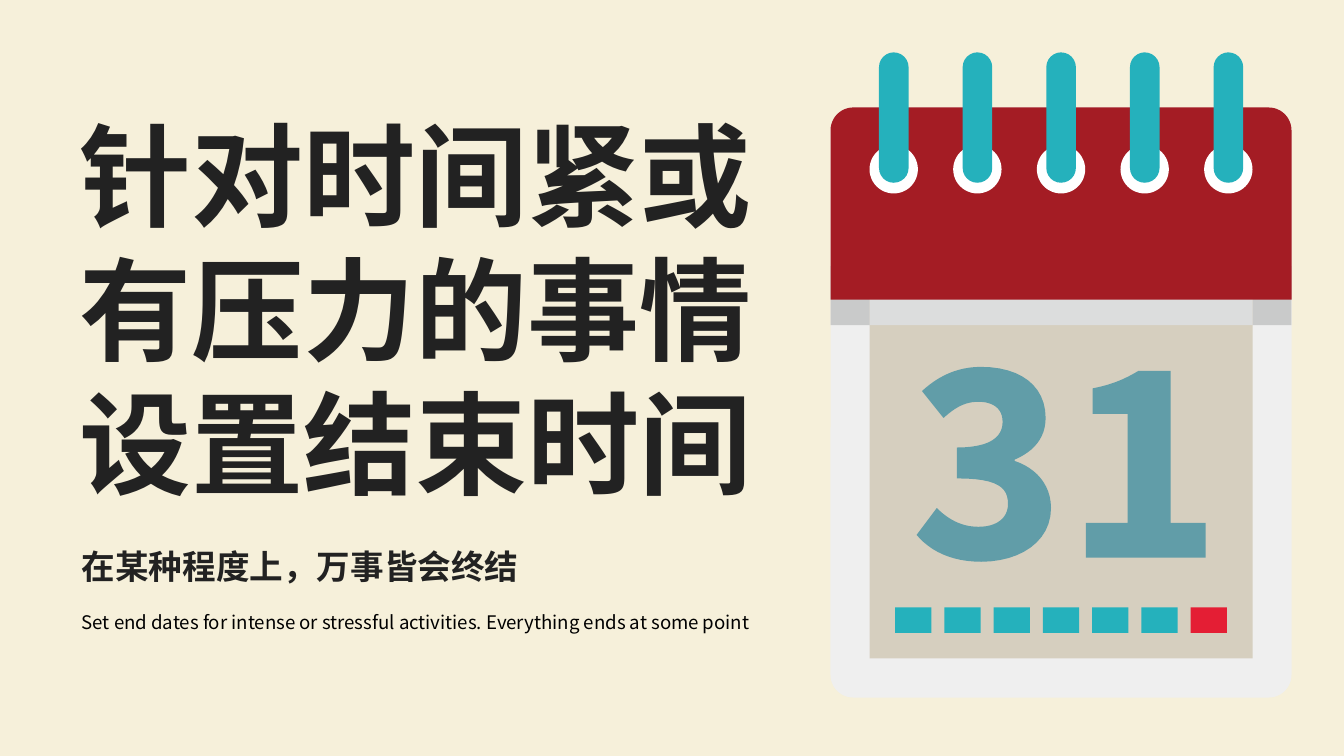
from lxml.etree import SubElement
from pptx import Presentation
from pptx.dml.color import RGBColor
from pptx.enum.shapes import MSO_SHAPE
from pptx.enum.text import MSO_ANCHOR, MSO_AUTO_SIZE, PP_ALIGN
from pptx.oxml.ns import qn
from pptx.util import Inches, Pt

FONT = "Noto Sans CJK SC"
TITLE = ["针对时间紧或有压力的事情", "设置结束时间"]
SUBTITLE = ["在某种程度上，万事皆会终结"]
CAPTION = ["Set end dates for intense or stressful activities. Everything ends at some point"]

CREAM, INK, BLACK, WHITE = "F6F0DA", "222222", "000000", "FFFFFF"
TEAL, RED, DIGIT_BLUE = "25B1BC", "E41E34", "619DA8"

CALENDAR_PARTS = [
    (MSO_SHAPE.ROUNDED_RECTANGLE, (6.18, 0.8, 3.43, 4.39), "EFEFEF", 0.17),
    (MSO_SHAPE.RECTANGLE, (6.18, 1.98, 3.43, 0.44), "C9CACA", None),
    (MSO_SHAPE.RECTANGLE, (6.47, 1.08, 2.85, 3.82), "D6CFBF", None),
    (MSO_SHAPE.RECTANGLE, (6.47, 1.98, 2.85, 0.44), "DCDDDD", None),
    (MSO_SHAPE.ROUND_2_SAME_RECTANGLE, (6.18, 0.8, 3.43, 1.43), "A41C24", 0.17),
]
RING_COUNT, RING_SPAN = 5, 2.49
DAY_COUNT, DAY_SPAN = 7, 2.2

DIGIT_THREE = [
    (6.82, 3.98), (6.92, 4.1, 7.08, 4.18, 7.3, 4.18),
    (7.59, 4.18, 7.82, 4.03, 7.82, 3.78), (7.82, 3.6, 7.7, 3.48, 7.55, 3.43),
    (7.55, 3.42), (7.69, 3.36, 7.78, 3.26, 7.78, 3.11),
    (7.78, 2.87, 7.59, 2.73, 7.3, 2.73), (7.12, 2.73, 6.98, 2.8, 6.86, 2.91),
    (7.02, 3.11), (7.11, 3.03, 7.18, 2.99, 7.28, 2.99),
    (7.39, 2.99, 7.46, 3.04, 7.46, 3.14), (7.46, 3.25, 7.37, 3.33, 7.12, 3.33),
    (7.12, 3.56), (7.43, 3.56, 7.5, 3.63, 7.5, 3.75),
    (7.5, 3.86, 7.41, 3.92, 7.28, 3.92), (7.15, 3.92, 7.05, 3.86, 6.97, 3.78),
]
DIGIT_ONE = [
    (8.08, 4.15), (8.97, 4.15), (8.97, 3.89), (8.71, 3.89), (8.71, 2.76), (8.47, 2.76),
    (8.37, 2.82, 8.28, 2.86, 8.13, 2.89), (8.13, 3.08), (8.39, 3.08), (8.39, 3.89), (8.08, 3.89),
]


def color(value):
    return RGBColor.from_string(value)


def paint(shape, fill):
    shape.shadow.inherit = False
    shape.fill.solid()
    shape.fill.fore_color.rgb = color(fill)
    shape.line.fill.background()


def add_part(shapes, kind, box, fill, radius=None):
    shape = shapes.add_shape(kind, *map(Inches, box))
    if radius is not None:
        shape.adjustments[0] = radius / min(box[2:])
    paint(shape, fill)


def flatten(outline, steps=12):
    points = [outline[0]]
    for segment in outline[1:]:
        if len(segment) == 2:
            points.append(segment)
            continue
        start, controls = points[-1], (segment[:2], segment[2:4], segment[4:])
        for step in range(1, steps + 1):
            t = step / steps
            weights = ((1 - t) ** 3, 3 * t * (1 - t) ** 2, 3 * t * t * (1 - t), t ** 3)
            points.append(tuple(
                sum(weight * point[axis] for weight, point in zip(weights, (start, *controls)))
                for axis in (0, 1)))
    return [(Inches(x), Inches(y)) for x, y in points]


def add_digits(shapes, outlines):
    contours = [flatten(outline) for outline in outlines]
    builder = shapes.build_freeform(*contours[0][0], scale=1.0)
    for index, points in enumerate(contours):
        if index:
            builder.move_to(*points[0])
        builder.add_line_segments(points[1:], close=True)
    paint(builder.convert_to_shape(), DIGIT_BLUE)


def write(shape, box, lines, size, ink, bold=False, wrap=True):
    shape.left, shape.top, shape.width, shape.height = map(Inches, box)
    frame = shape.text_frame
    frame.text = "\n".join(lines)
    frame.word_wrap = wrap
    frame.auto_size = MSO_AUTO_SIZE.NONE
    frame.vertical_anchor = MSO_ANCHOR.TOP
    for paragraph in frame.paragraphs:
        paragraph.alignment = PP_ALIGN.LEFT
        paragraph.line_spacing = Pt(1.2 * size)
        paragraph.space_before = Pt(0)
        for run in paragraph.runs:
            run.font.size = Pt(size)
            run.font.bold = bold
            run.font.color.rgb = color(ink)
            run.font.name = FONT
            SubElement(run.font._element, qn("a:ea")).set("typeface", FONT)


def add_text(slide, box, *details, **options):
    write(slide.shapes.add_textbox(*map(Inches, box)), box, *details, **options)


def add_calendar(slide):
    shapes = slide.shapes.add_group_shape().shapes
    for part in CALENDAR_PARTS:
        add_part(shapes, *part)
    offsets = [index * RING_SPAN / (RING_COUNT - 1) for index in range(RING_COUNT)]
    for offset in offsets:
        add_part(shapes, MSO_SHAPE.OVAL, (6.47 + offset, 1.08, 0.36, 0.36), WHITE)
    for offset in offsets:
        add_part(shapes, MSO_SHAPE.ROUNDED_RECTANGLE, (6.54 + offset, 0.39, 0.22, 0.97), TEAL, 0.11)
    add_digits(shapes, [DIGIT_THREE, DIGIT_ONE])
    for index in range(DAY_COUNT):
        left = 6.66 + index * DAY_SPAN / (DAY_COUNT - 1)
        fill = RED if index == DAY_COUNT - 1 else TEAL
        add_part(shapes, MSO_SHAPE.RECTANGLE, (left, 4.52, 0.27, 0.19), fill)


def main():
    presentation = Presentation()
    presentation.slide_width = Inches(10)
    presentation.slide_height = Inches(10 * 9 / 16)
    slide = presentation.slides.add_slide(presentation.slide_layouts[5])
    slide.background.fill.solid()
    slide.background.fill.fore_color.rgb = color(CREAM)
    write(slide.shapes.title, (0.49, 0.74, 5.39, 3.13), TITLE, 60, INK, bold=True)
    add_text(slide, (0.51, 4.01, 3.48, 0.4), SUBTITLE, 18, INK, bold=True, wrap=False)
    add_text(slide, (0.51, 4.5, 5.83, 0.27), CAPTION, 10, BLACK)
    add_calendar(slide)
    presentation.save("out.pptx")


if __name__ == "__main__":
    main()
